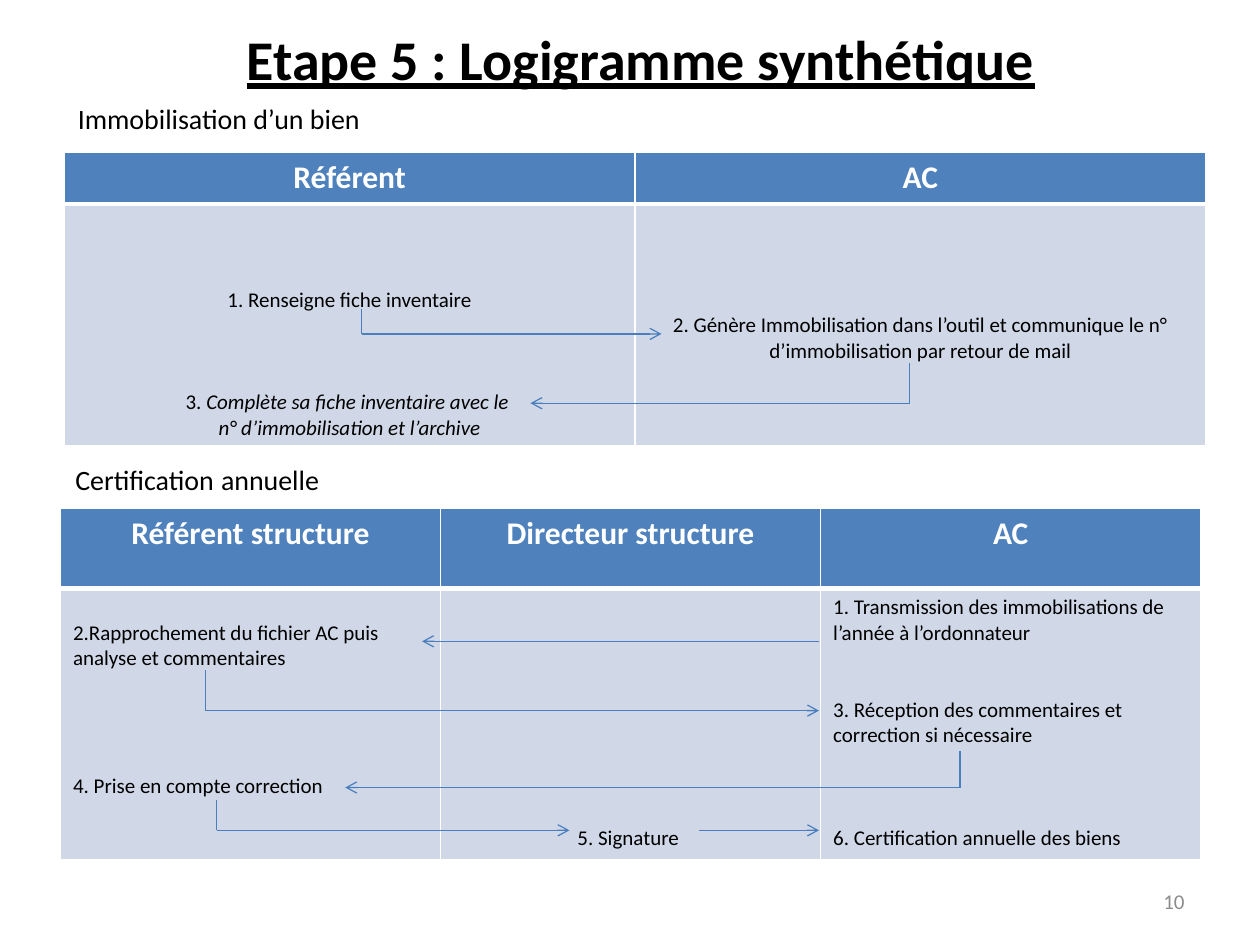
from lxml import etree
from pptx import Presentation
from pptx.dml.color import RGBColor
from pptx.enum import shapes, text
from pptx.oxml import ns
from pptx.util import Inches, Pt

COLORS = {
    "black": "000000", "white": "FFFFFF", "header": "4F81BD",
    "body": "D0D8E8", "arrow": "4B7EBC", "number": "8C8C8C",
}
FONT = "Calibri"
LINE = 14.65  # height in points of one 12 pt line
LEFT, CENTER, RIGHT = text.PP_ALIGN.LEFT, text.PP_ALIGN.CENTER, text.PP_ALIGN.RIGHT


def color(name):
    return RGBColor.from_string(COLORS[name])


class Flowchart:
    """Holds the style and the current slide."""

    def __init__(self, slide):
        self.slide = slide

    def add_run(self, paragraph, words, size, fill="black", bold=False,
                italic=False, underline=False):
        run = paragraph.add_run()
        run.text = words
        font = run.font
        font.name, font.size = FONT, Pt(size)
        font.bold, font.italic, font.underline = bold, italic, underline
        font.color.rgb = color(fill)

    def place_title(self, words, left, top, width, height):
        title = self.slide.shapes.title
        title.left, title.top = Inches(left), Inches(top)
        title.width, title.height = Inches(width), Inches(height)
        title.text_frame.auto_size = text.MSO_AUTO_SIZE.NONE
        paragraph = title.text_frame.paragraphs[0]
        paragraph.alignment = CENTER
        self.add_run(paragraph, words, 32, bold=True, underline=True)

    def add_text(self, runs, left, top, width, height, fill="black",
                 align=LEFT, anchor=text.MSO_ANCHOR.TOP):
        box = self.slide.shapes.add_textbox(
            Inches(left), Inches(top), Inches(width), Inches(height))
        frame = box.text_frame
        frame.word_wrap, frame.vertical_anchor = True, anchor
        paragraph = frame.paragraphs[0]
        paragraph.alignment = align
        for words, size in runs:
            self.add_run(paragraph, words, size, fill)

    def style_cell(self, cell, fill, top, bottom):
        properties = cell._tc.get_or_add_tcPr()
        for side, points in (("L", 1), ("R", 1), ("T", top), ("B", bottom)):
            border = etree.SubElement(
                properties, ns.qn(f"a:ln{side}"), w=str(Pt(points)))
            solid = etree.SubElement(border, ns.qn("a:solidFill"))
            etree.SubElement(solid, ns.qn("a:srgbClr"), val=COLORS["white"])
        cell.fill.solid()
        cell.fill.fore_color.rgb = color(fill)

    def fill_steps(self, cell, steps, align):
        """Each step is (blank lines above it, [(words, italic), ...])."""
        for index, (gap, runs) in enumerate(steps):
            if index == 0:
                paragraph = cell.text_frame.paragraphs[0]
                cell.margin_top = Inches(0.05) + Pt(gap * LINE)
            else:
                paragraph = cell.text_frame.add_paragraph()
                paragraph.space_before = Pt(gap * LINE)
            paragraph.alignment = align
            for words, italic in runs:
                self.add_run(paragraph, words, 12, italic=italic)

    def add_lanes(self, lanes, left, top, width, heights):
        """Each lane is (heading, alignment of steps, steps)."""
        table = self.slide.shapes.add_table(
            2, len(lanes), Inches(left), Inches(top),
            Inches(width), Inches(sum(heights))).table
        for row, height in zip(table.rows, heights):
            row.height = Inches(height)
        for index, (heading, align, steps) in enumerate(lanes):
            table.columns[index].width = Inches(width / len(lanes))
            header, body = table.cell(0, index), table.cell(1, index)
            self.style_cell(header, "header", 1, 3)
            self.style_cell(body, "body", 3, 1)
            paragraph = header.text_frame.paragraphs[0]
            paragraph.alignment = CENTER
            self.add_run(paragraph, heading, 18, "white", bold=True)
            self.fill_steps(body, steps, align)

    def add_arrow(self, *points):
        """Straight segments through the points, with a head on the last."""
        for start, end in zip(points, points[1:]):
            connector = self.slide.shapes.add_connector(
                shapes.MSO_CONNECTOR.STRAIGHT,
                *(Inches(value) for value in start + end))
            connector.line.color.rgb = color("arrow")
            connector.line.width = Pt(0.75)
            if end == points[-1]:
                line = connector.line._get_or_add_ln()
                etree.SubElement(line, ns.qn("a:tailEnd"), type="arrow")
            etree.SubElement(connector._element.spPr, ns.qn("a:effectLst"))


def main():
    presentation = Presentation()
    presentation.slide_width, presentation.slide_height = Inches(10), Inches(7.5)
    slide = presentation.slides.add_slide(presentation.slide_layouts[5])
    chart = Flowchart(slide)

    chart.place_title("Etape 5 : Logigramme synthétique", 1.77, 0.14, 6.63, 0.64)

    # Registering an asset
    chart.add_text([("Immobilisation d’un bien", 16)], 0.52, 0.76, 2.76, 0.37)
    chart.add_lanes([
        ("Référent", CENTER, [
            (3, [("1. Renseigne fiche inventaire", False)]),
            (3, [("3. ", False), ("Complète sa fiche inventaire avec le ", True)]),
            (0, [("n° d’immobilisation et l’archive", True)]),
        ]),
        ("AC", CENTER, [
            (4, [("2. Génère Immobilisation dans l’outil et communique le n° "
                  "d’immobilisation par retour de mail", False)]),
        ]),
    ], 0.51, 1.21, 9.06, (0.41, 1.92))
    chart.add_arrow((2.87, 2.45), (2.87, 2.65), (5.25, 2.65))
    chart.add_arrow((7.22, 2.88), (7.22, 3.2), (4.21, 3.2))

    # Yearly certification
    chart.add_text([("Certification", 16), (" ", 18), ("annuelle", 16)],
                   0.5, 3.59, 2.76, 0.4)
    chart.add_lanes([
        ("Référent structure", LEFT, [
            (1, [("2.Rapprochement du fichier AC puis analyse et commentaires", False)]),
            (4, [("4. Prise en compte correction", False)]),
        ]),
        ("Directeur structure", CENTER, [(9, [("5. Signature ", False)])]),
        ("AC", LEFT, [
            (0, [("1. Transmission des immobilisations de l’année à l’ordonnateur", False)]),
            (2, [("3. Réception des commentaires et correction si nécessaire", False)]),
            (3, [("6. Certification annuelle des biens", False)]),
        ]),
    ], 0.48, 4.03, 9.05, (0.64, 2.15))
    chart.add_arrow((6.5, 5.09), (3.35, 5.09))
    chart.add_arrow((1.63, 5.32), (1.63, 5.64), (6.5, 5.64))
    chart.add_arrow((7.62, 5.96), (7.62, 6.25), (2.74, 6.25))
    chart.add_arrow((1.72, 6.35), (1.72, 6.59), (4.52, 6.59))
    chart.add_arrow((5.55, 6.59), (6.5, 6.59))

    # Slide number
    chart.add_text([("10", 12)], 7.17, 6.95, 2.33, 0.4, "number", RIGHT,
                   text.MSO_ANCHOR.MIDDLE)

    presentation.save("out.pptx")


if __name__ == "__main__":
    main()
